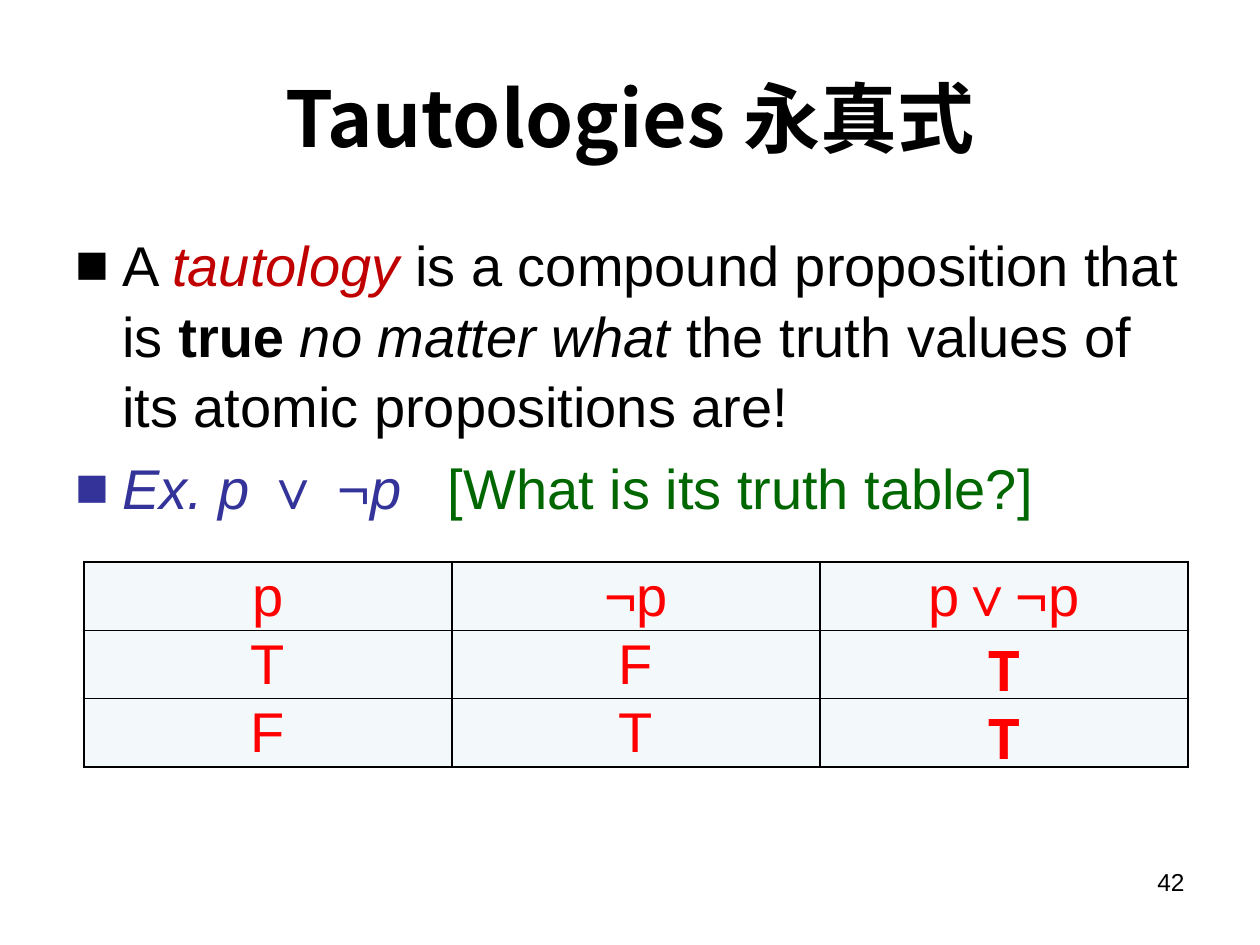
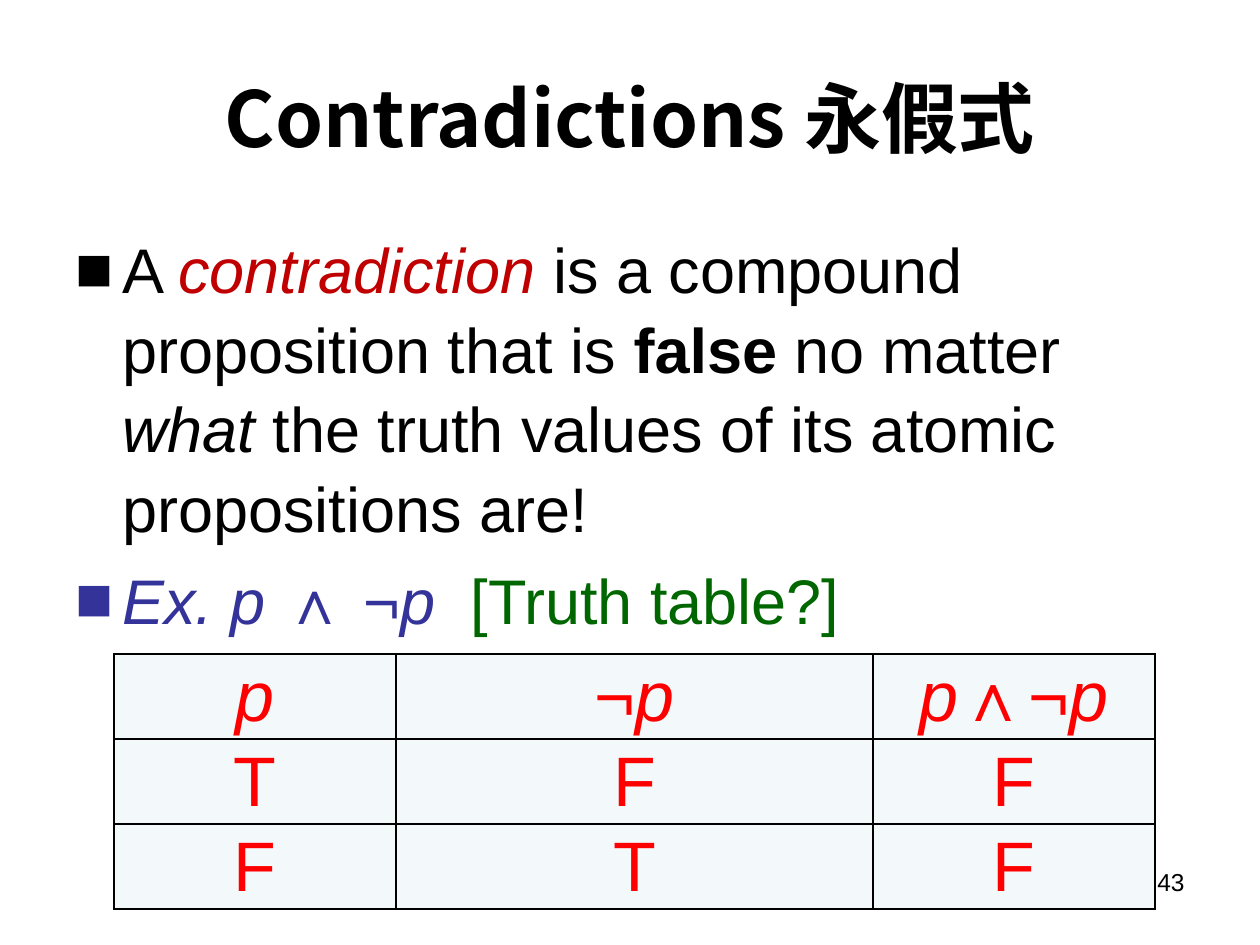
from lxml.etree import SubElement
from pptx import Presentation
from pptx.dml.color import RGBColor
from pptx.enum.text import MSO_ANCHOR, PP_ALIGN
from pptx.oxml.ns import qn
from pptx.util import Emu, Pt

PX_PER_INCH = 126
BLACK = RGBColor(0x00, 0x00, 0x00)
TERM_RED = RGBColor(0xC0, 0x00, 0x00)
EXAMPLE_BLUE = RGBColor(0x33, 0x33, 0x99)
QUESTION_GREEN = RGBColor(0x00, 0x66, 0x00)
TRUTH_RED = RGBColor(0xFF, 0x00, 0x00)
CELL_FILL = RGBColor(0xF3, 0xF9, 0xFA)

BODY_FONT = "Arial"
TITLE_FONT = "Noto Sans CJK SC"
RESULT_FONT = "Noto Sans Mono"
MARGIN_LEFT, CONTENT_WIDTH = 63, 1134
HANGING = 47


def px(length):
    return Emu(round(length * 914400 / PX_PER_INCH))


def add_run(paragraph, text, size, color=BLACK, style="", font=BODY_FONT):
    """Style is any mix of the letters b (bold) and i (italic)."""
    run = paragraph.add_run()
    run.text = text
    run.font.size = Pt(size)
    run.font.name = font
    run.font.bold = "b" in style
    run.font.italic = "i" in style
    run.font.color.rgb = color
    if font != BODY_FONT:
        SubElement(run._r.get_or_add_rPr(), qn("a:ea"), typeface=font)


def add_text_frame(slide, left, top, width, height, anchor=MSO_ANCHOR.TOP):
    box = slide.shapes.add_textbox(px(left), px(top), px(width), px(height))
    frame = box.text_frame
    frame.word_wrap = True
    frame.vertical_anchor = anchor
    return frame


def add_title(slide, text):
    frame = add_text_frame(slide, MARGIN_LEFT, 38, CONTENT_WIDTH, 157, MSO_ANCHOR.MIDDLE)
    heading = frame.paragraphs[0]
    heading.alignment = PP_ALIGN.CENTER
    add_run(heading, text, 44, style="b", font=TITLE_FONT)


def add_page_number(slide, number):
    frame = add_text_frame(slide, 903, 861, 294, 65)
    line = frame.paragraphs[0]
    line.alignment = PP_ALIGN.RIGHT
    add_run(line, str(number), 14)


def add_square_bullet(paragraph, color):
    properties = paragraph._p.get_or_add_pPr()
    properties.set("marL", str(px(HANGING)))
    properties.set("indent", str(-px(HANGING)))
    bullet_color = SubElement(properties, qn("a:buClr"))
    SubElement(bullet_color, qn("a:srgbClr"), val=str(color))
    SubElement(properties, qn("a:buFont"), typeface=BODY_FONT)
    SubElement(properties, qn("a:buChar"), char="■")


def add_bullets(slide, size, points):
    frame = add_text_frame(slide, MARGIN_LEFT, 221, CONTENT_WIDTH, 624)
    for index, runs in enumerate(points):
        point = frame.paragraphs[0] if index == 0 else frame.add_paragraph()
        add_square_bullet(point, runs[0][1])
        point.line_spacing = 1.05
        if index:
            point.space_before = Pt(size * 0.2)
        for text, color, style in runs:
            add_run(point, text, size, color, style)


def definition(term, before, after):
    return [("A ", BLACK, ""), (term, TERM_RED, "i"), (before, BLACK, ""), *after]


def example(operator, gap, question):
    return [
        ("Ex. p ", EXAMPLE_BLUE, "i"),
        (operator + " ¬", EXAMPLE_BLUE, ""),
        ("p" + gap, EXAMPLE_BLUE, "i"),
        (question, QUESTION_GREEN, ""),
    ]


def add_cell_borders(cell):
    properties = cell._tc.get_or_add_tcPr()
    for position, side in enumerate(("lnL", "lnR", "lnT", "lnB")):
        border = properties.makeelement(qn("a:" + side), {"w": str(Pt(1))})
        fill = SubElement(border, qn("a:solidFill"))
        SubElement(fill, qn("a:srgbClr"), val=str(BLACK))
        properties.insert(position, border)


def add_truth_table(slide, left, top, column_widths, row_height, size, rows):
    """Each cell is a list of (text, style, font) runs."""
    frame = slide.shapes.add_table(
        len(rows), len(column_widths), px(left), px(top),
        px(sum(column_widths)), px(row_height * len(rows)))
    table = frame.table
    for column, width in zip(table.columns, column_widths):
        column.width = px(width)
    for row_index, row in enumerate(rows):
        table.rows[row_index].height = px(row_height)
        for column_index, runs in enumerate(row):
            cell = table.cell(row_index, column_index)
            cell.fill.solid()
            cell.fill.fore_color.rgb = CELL_FILL
            cell.vertical_anchor = MSO_ANCHOR.MIDDLE
            cell.margin_left = cell.margin_right = cell.margin_top = px(1)
            cell.margin_bottom = 0
            add_cell_borders(cell)
            entry = cell.text_frame.paragraphs[0]
            entry.alignment = PP_ALIGN.CENTER
            for text, style, font in runs:
                add_run(entry, text, size, TRUTH_RED, style, font)


def plain(text):
    return [(text, "", BODY_FONT)]


def variable(text="p"):
    return (text, "i", BODY_FONT)


def add_slide(deck, title, page, size, points):
    slide = deck.slides.add_slide(deck.slide_layouts[6])
    add_title(slide, title)
    add_bullets(slide, size, points)
    add_page_number(slide, page)
    return slide


def main():
    deck = Presentation()
    deck.slide_width, deck.slide_height = px(1260), px(945)

    closing = " the truth values of its atomic propositions are!"
    is_compound = "is a compound proposition that is "

    tautologies = add_slide(deck, "Tautologies 永真式", 42, 32, [
        definition("tautology", " " + is_compound, [
            ("true ", BLACK, "b"), ("no matter what", BLACK, "i"), (closing, BLACK, "")]),
        example("∨", "   ", "[What is its truth table?]"),
    ])
    always_true = [("T", "b", RESULT_FONT)]
    add_truth_table(tautologies, 84, 562, [368] * 3, 68, 32, [
        [plain("p"), plain("¬p"), plain("p∨¬p")],
        [plain("T"), plain("F"), always_true],
        [plain("F"), plain("T"), always_true],
    ])

    contradictions = add_slide(deck, "Contradictions 永假式", 43, 36, [
        definition("contradiction ", is_compound, [
            ("false", BLACK, "b"), (" no matter ", BLACK, ""),
            ("what", BLACK, "i"), (closing, BLACK, "")]),
        example("∧", "  ", "[Truth table?]"),
    ])
    add_truth_table(contradictions, 114, 654, [282, 477, 282], 85, 40, [
        [[variable()], plain("¬") + [variable()],
         [variable()] + plain("∧¬") + [variable()]],
        [plain("T"), plain("F"), plain("F")],
        [plain("F"), plain("T"), plain("F")],
    ])

    deck.save("out.pptx")


if __name__ == "__main__":
    main()
